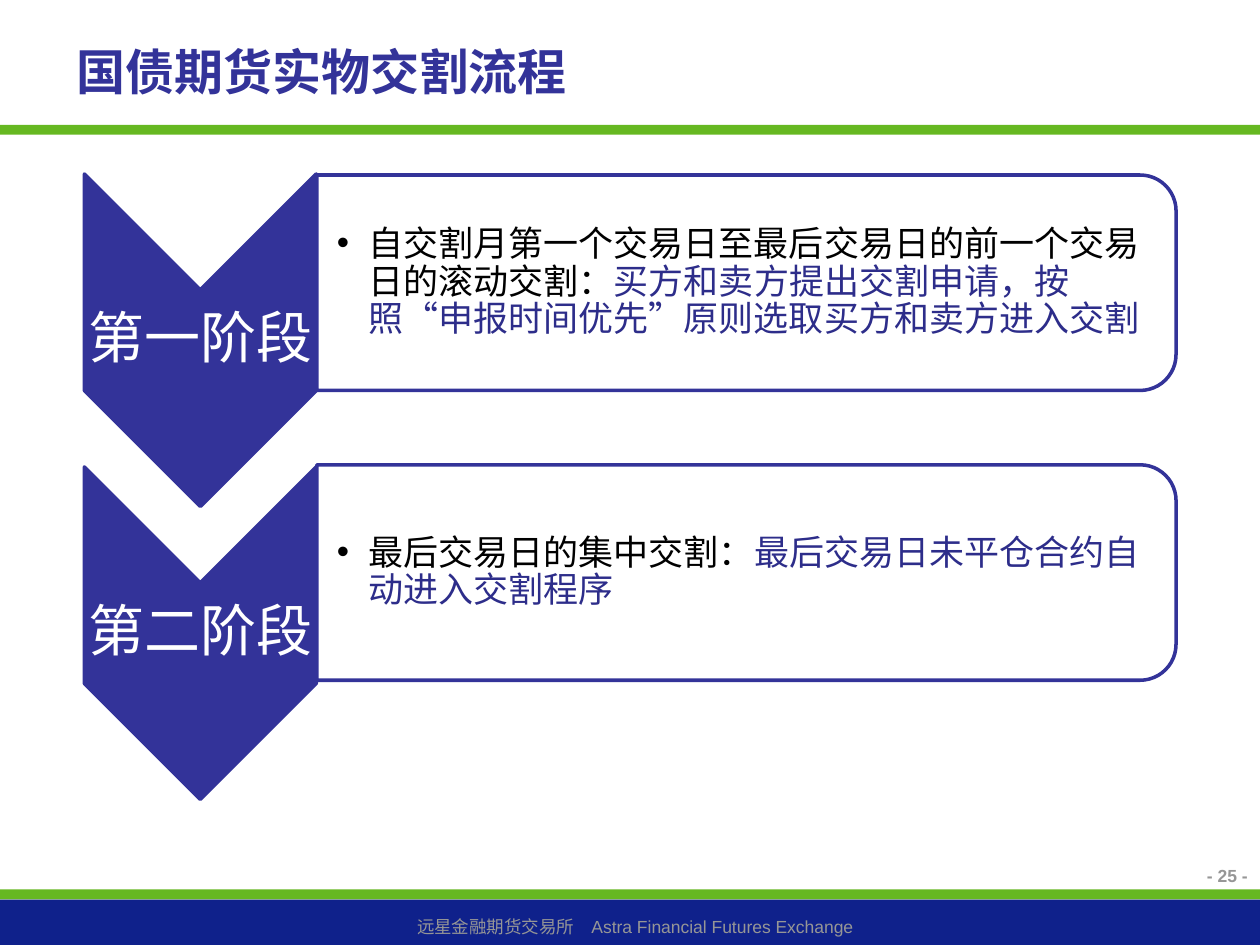
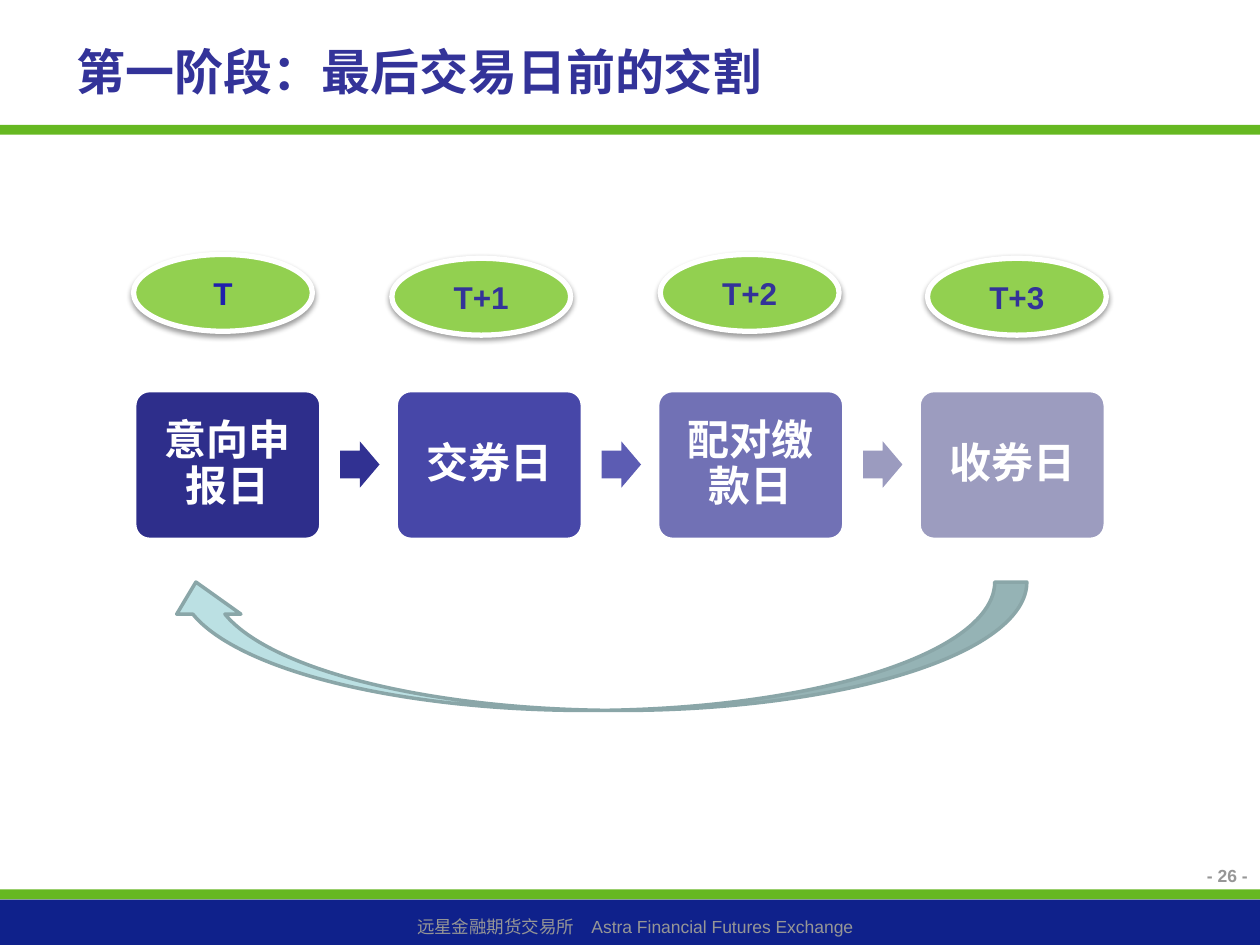
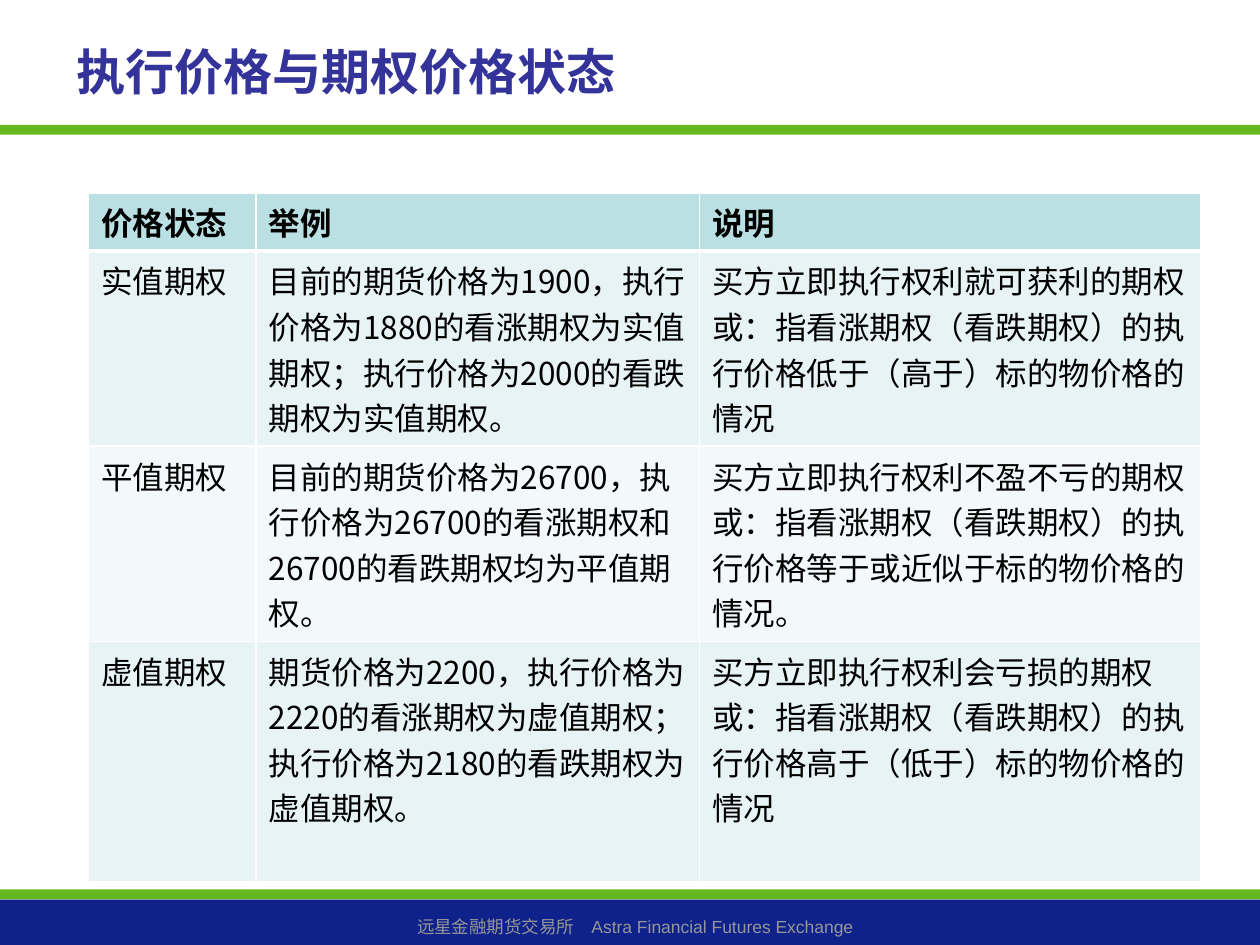
from dataclasses import dataclass

from lxml import etree
from pptx import Presentation
from pptx.dml.color import RGBColor
from pptx.enum.shapes import MSO_SHAPE
from pptx.enum.text import MSO_ANCHOR, MSO_AUTO_SIZE, PP_ALIGN
from pptx.oxml import parse_xml
from pptx.oxml.ns import nsdecls, qn
from pptx.shapes.autoshape import Shape
from pptx.slide import Slide
from pptx.table import _Cell
from pptx.text.text import TextFrame, _Paragraph, _Run
from pptx.util import Pt

LEFT, CENTER, RIGHT = PP_ALIGN.LEFT, PP_ALIGN.CENTER, PP_ALIGN.RIGHT
TOP, MIDDLE = MSO_ANCHOR.TOP, MSO_ANCHOR.MIDDLE
NO_AUTOFIT = MSO_AUTO_SIZE.NONE
RECTANGLE, ROUNDED = MSO_SHAPE.RECTANGLE, MSO_SHAPE.ROUNDED_RECTANGLE
CHEVRON, TWO_ROUNDED = MSO_SHAPE.CHEVRON, MSO_SHAPE.ROUND_2_SAME_RECTANGLE
RIGHT_ARROW, RETURN_ARROW = MSO_SHAPE.RIGHT_ARROW, MSO_SHAPE.CURVED_UP_ARROW
OVAL = MSO_SHAPE.OVAL

WHITE = RGBColor(0xFF, 0xFF, 0xFF)
BLACK = RGBColor(0x00, 0x00, 0x00)
GRAY = RGBColor(0x96, 0x96, 0x96)
GREEN = RGBColor(0x66, 0xB8, 0x21)
LIME = RGBColor(0x92, 0xD0, 0x50)
NAVY = RGBColor(0x0F, 0x21, 0x8B)
INDIGO = RGBColor(0x33, 0x33, 0x99)
DEEP_INDIGO = RGBColor(0x2D, 0x2D, 0x8A)
BRIGHT_INDIGO = RGBColor(0x1F, 0x1F, 0xAD)
AQUA = RGBColor(0xBB, 0xE0, 0xE3)
AQUA_EDGE = RGBColor(0x8A, 0xA6, 0xA8)
AQUA_BAND = RGBColor(0xE7, 0xF3, 0xF4)
AQUA_PALE = RGBColor(0xF3, 0xF9, 0xFA)

LATIN = "Arial"
CJK = "Noto Sans CJK SC"
SLIDE_WIDTH, SLIDE_HEIGHT = 720, 540
TITLE_ONLY = 5
FOOTER = "远星金融期货交易所　Astra Financial Futures Exchange"


@dataclass(frozen=True)
class Box:
    """A place on the slide, in points."""
    left: float
    top: float
    width: float
    height: float

    def lengths(self) -> tuple[Pt, Pt, Pt, Pt]:
        return Pt(self.left), Pt(self.top), Pt(self.width), Pt(self.height)

    def before_quarter_turn(self) -> "Box":
        """The unrotated box that fills this one when turned by 90 degrees."""
        shift = (self.width - self.height) / 2
        return Box(self.left + shift, self.top - shift, self.height, self.width)


@dataclass(frozen=True)
class TextStyle:
    size: float
    color: RGBColor
    font: str = CJK
    bold: bool = False


@dataclass(frozen=True)
class Band:
    box: Box
    color: RGBColor


@dataclass(frozen=True)
class Stage:
    name: str
    lead: str
    detail: str


@dataclass(frozen=True)
class DeliveryDay:
    label: str
    task: str
    color: RGBColor
    label_left: float
    label_top: float
    label_color: RGBColor = INDIGO


TITLE_STYLE = TextStyle(28, INDIGO, LATIN, True)
FOOTER_STYLE = TextStyle(10, GRAY, LATIN)
PAGE_STYLE = TextStyle(10, GRAY, LATIN, True)
STAGE_STYLE = TextStyle(32, WHITE)
LEAD_STYLE = TextStyle(20, BLACK)
DETAIL_STYLE = TextStyle(20, DEEP_INDIGO)
TASK_STYLE = TextStyle(24, WHITE, CJK, True)
HEADER_STYLE = TextStyle(18, BLACK, CJK, True)
CELL_STYLE = TextStyle(18, BLACK)

BANDS = [
    Band(Box(0, 508.2, SLIDE_WIDTH, 5.8), GREEN),
    Band(Box(0, 71.4, SLIDE_WIDTH, 5.6), GREEN),
    Band(Box(0, 514, SLIDE_WIDTH, 26), NAVY),
]

STAGES = [
    Stage("第一阶段", "自交割月第一个交易日至最后交易日的前一个交易日的滚动交割：",
          "买方和卖方提出交割申请，按照“申报时间优先”原则选取买方和卖方进入交割"),
    Stage("第二阶段", "最后交易日的集中交割：", "最后交易日未平仓合约自动进入交割程序"),
]

DAYS = [
    DeliveryDay("T", "意向申报日", RGBColor(0x2E, 0x2E, 0x8B), 76.3, 145.4, BRIGHT_INDIGO),
    DeliveryDay("T+1", "交券日", RGBColor(0x47, 0x47, 0xA8), 223.9, 147.6),
    DeliveryDay("T+2", "配对缴款日", RGBColor(0x71, 0x71, 0xB5), 377.3, 145.4),
    DeliveryDay("T+3", "收券日", RGBColor(0x9C, 0x9C, 0xBF), 530, 147.6),
]
ARROW_COLORS = [RGBColor(0x31, 0x31, 0x92), RGBColor(0x5C, 0x5C, 0xB3),
                RGBColor(0x9B, 0x9B, 0xBF)]

COLUMN_WIDTHS = [95.8, 253.4, 286.6]
ROW_HEIGHTS = [32.5, 111.5, 111.5, 137.2]
ROW_FILLS = [AQUA, AQUA_BAND, AQUA_PALE, AQUA_BAND]
PRICE_STATES = [
    ["价格状态", "举例", "说明"],
    ["实值期权",
     "目前的期货价格为1900，执行价格为1880的看涨期权为实值期权；执行价格为2000的看跌期权为实值期权。",
     "买方立即执行权利就可获利的期权\n或：指看涨期权（看跌期权）的执行价格低于（高于）标的物价格的情况"],
    ["平值期权",
     "目前的期货价格为26700，执行价格为26700的看涨期权和26700的看跌期权均为平值期权。",
     "买方立即执行权利不盈不亏的期权\n或：指看涨期权（看跌期权）的执行价格等于或近似于标的物价格的情况。"],
    ["虚值期权",
     "期货价格为2200，执行价格为2220的看涨期权为虚值期权；执行价格为2180的看跌期权为虚值期权。",
     "买方立即执行权利会亏损的期权\n或：指看涨期权（看跌期权）的执行价格高于（低于）标的物价格的情况"],
]


def format_run(run: _Run, style: TextStyle) -> None:
    run.font.size = Pt(style.size)
    run.font.bold = style.bold
    run.font.color.rgb = style.color
    run.font.name = style.font
    properties = run._r.get_or_add_rPr()
    properties.set("lang", "zh-CN")
    east_asian = etree.Element(qn("a:ea"), typeface=CJK)
    properties.find(qn("a:latin")).addnext(east_asian)


def write(frame: TextFrame, text: str, style: TextStyle, align: PP_ALIGN = CENTER,
          anchor: MSO_ANCHOR = MIDDLE, spacing: float = 1.0) -> None:
    frame.text = text
    frame.word_wrap = True
    frame.vertical_anchor = anchor
    for paragraph in frame.paragraphs:
        paragraph.alignment = align
        paragraph.line_spacing = spacing
        for run in paragraph.runs:
            format_run(run, style)


def set_margins(frame: TextFrame, left: float, others: float) -> None:
    frame.margin_left = Pt(left)
    frame.margin_top = frame.margin_right = frame.margin_bottom = Pt(others)


def add_text(slide: Slide, box: Box) -> TextFrame:
    return slide.shapes.add_textbox(*box.lengths()).text_frame


def add_figure(slide: Slide, kind: MSO_SHAPE, box: Box, fill: RGBColor,
               line: RGBColor | None = None, line_width: float = 2) -> Shape:
    figure = slide.shapes.add_shape(kind, *box.lengths())
    figure.shadow.inherit = False
    figure.fill.solid()
    figure.fill.fore_color.rgb = fill
    if line is None:
        figure.line.fill.background()
    else:
        figure.line.color.rgb = line
        figure.line.width = Pt(line_width)
    return figure


def add_drop_shadow(figure: Shape) -> None:
    effects = figure.element.spPr.find(qn("a:effectLst"))
    effects.append(parse_xml(
        f'<a:outerShdw {nsdecls("a")} blurRad="{Pt(3.1)}" dist="{Pt(1.6)}" dir="5400000" '
        'rotWithShape="0"><a:srgbClr val="000000"><a:alpha val="38000"/></a:srgbClr>'
        '</a:outerShdw>'))


def add_bullet(paragraph: _Paragraph) -> None:
    properties = paragraph._p.get_or_add_pPr()
    properties.set("marL", str(Pt(18)))
    properties.set("indent", str(Pt(-18)))
    etree.SubElement(properties, qn("a:buFont"), typeface=LATIN)
    etree.SubElement(properties, qn("a:buChar"), char="•")


def move_bands_to_layout(slide: Slide) -> None:
    """Draw the bands and footer, then hand them to the layout all slides share."""
    shared = [add_figure(slide, RECTANGLE, band.box, band.color) for band in BANDS]
    footer = slide.shapes.add_textbox(*Box(5.8, 519.8, 714.2, 19.4).lengths())
    write(footer.text_frame, FOOTER, FOOTER_STYLE, anchor=TOP)
    for part in [*shared, footer]:
        slide.slide_layout.shapes.element.append(part.element)


def add_titled_slide(deck: Presentation, title: str, page: str = "") -> Slide:
    slide = deck.slides.add_slide(deck.slide_layouts[TITLE_ONLY])
    heading = slide.shapes.title
    heading.left, heading.top, heading.width, heading.height = Box(36.7, 15.1, 499, 51.1).lengths()
    write(heading.text_frame, title, TITLE_STYLE, LEFT)
    heading.text_frame.auto_size = NO_AUTOFIT
    if page:
        write(add_text(slide, Box(578.2, 491, 141.8, 25.9)), page, PAGE_STYLE, RIGHT, TOP)
    return slide


def add_stage(slide: Slide, stage: Stage, index: int) -> None:
    chevron_top = 99.4 + 167.4 * index
    panel_top = 100 + 165.6 * index

    chevron_box = Box(48.2, chevron_top, 132.5, 190)
    chevron = add_figure(slide, CHEVRON, chevron_box.before_quarter_turn(), INDIGO, INDIGO)
    chevron.rotation = 90
    name = add_text(slide, Box(48.2, chevron_top + 66.6, 132.5, 57))
    set_margins(name, 1.4, 1.4)
    write(name, stage.name, STAGE_STYLE, spacing=0.9)

    panel_box = Box(181, panel_top, 491, 123.1)
    panel = add_figure(slide, TWO_ROUNDED, panel_box.before_quarter_turn(), WHITE, INDIGO)
    panel.rotation = 90
    description = add_text(slide, Box(181, panel_top + 5.8, 484.6, 111.6))
    set_margins(description, 11.5, 0.7)
    write(description, stage.lead, LEAD_STYLE, LEFT, spacing=0.9)
    paragraph = description.paragraphs[0]
    add_bullet(paragraph)
    detail = paragraph.add_run()
    detail.text = stage.detail
    format_run(detail, DETAIL_STYLE)


def add_day(slide: Slide, day: DeliveryDay, left: float) -> None:
    task = add_figure(slide, ROUNDED, Box(left, 223.2, 106.4, 85), day.color, WHITE)
    task.adjustments[0] = 0.1
    set_margins(task.text_frame, 7.2, 7.2)
    write(task.text_frame, day.task, TASK_STYLE, spacing=0.9)

    label_box = Box(day.label_left, day.label_top, 102.2, 43.9)
    label = add_figure(slide, OVAL, label_box, LIME, WHITE, 3)
    add_drop_shadow(label)
    write(label.text_frame, day.label, TextStyle(18, day.label_color, LATIN, True))


def add_process(slide: Slide) -> None:
    first_left, pitch = 77, 149.4
    for index, day in enumerate(DAYS):
        add_day(slide, day, first_left + pitch * index)
    for index, color in enumerate(ARROW_COLORS):
        arrow_box = Box(first_left + 117.4 + pitch * index, 252.2, 22.5, 26.5)
        arrow = add_figure(slide, RIGHT_ARROW, arrow_box, color)
        arrow.adjustments[0] = 0.6
    cycle = add_figure(slide, RETURN_ARROW, Box(93.6, 332.6, 493.2, 73.4), AQUA, AQUA_EDGE)
    cycle.element.spPr.get_or_add_xfrm().set("flipH", "1")


def set_borders(cell: _Cell, top: float, bottom: float) -> None:
    properties = cell._tc.get_or_add_tcPr()
    for side, width in {"L": 1, "R": 1, "T": top, "B": bottom}.items():
        properties.append(parse_xml(
            f'<a:ln{side} {nsdecls("a")} w="{Pt(width)}"><a:solidFill>'
            f'<a:srgbClr val="{WHITE}"/></a:solidFill></a:ln{side}>'))


def add_price_table(slide: Slide) -> None:
    box = Box(50.6, 110.2, sum(COLUMN_WIDTHS), sum(ROW_HEIGHTS))
    table = slide.shapes.add_table(len(ROW_HEIGHTS), len(COLUMN_WIDTHS), *box.lengths()).table
    table.horz_banding = False
    for column, width in zip(table.columns, COLUMN_WIDTHS):
        column.width = Pt(width)
    for index, (row, height) in enumerate(zip(table.rows, ROW_HEIGHTS)):
        row.height = Pt(height)
        for cell, text in zip(row.cells, PRICE_STATES[index]):
            set_borders(cell, 3 if index == 1 else 1, 3 if index == 0 else 1)
            cell.fill.solid()
            cell.fill.fore_color.rgb = ROW_FILLS[index]
            write(cell.text_frame, text, CELL_STYLE if index else HEADER_STYLE, LEFT, TOP)


def main() -> None:
    deck = Presentation()
    deck.slide_width, deck.slide_height = Pt(SLIDE_WIDTH), Pt(SLIDE_HEIGHT)

    stages = add_titled_slide(deck, "国债期货实物交割流程", "- 25 -")
    move_bands_to_layout(stages)
    for index, stage in enumerate(STAGES):
        add_stage(stages, stage, index)

    add_process(add_titled_slide(deck, "第一阶段：最后交易日前的交割", "- 26 -"))
    add_price_table(add_titled_slide(deck, "执行价格与期权价格状态"))

    deck.save("out.pptx")


if __name__ == "__main__":
    main()
